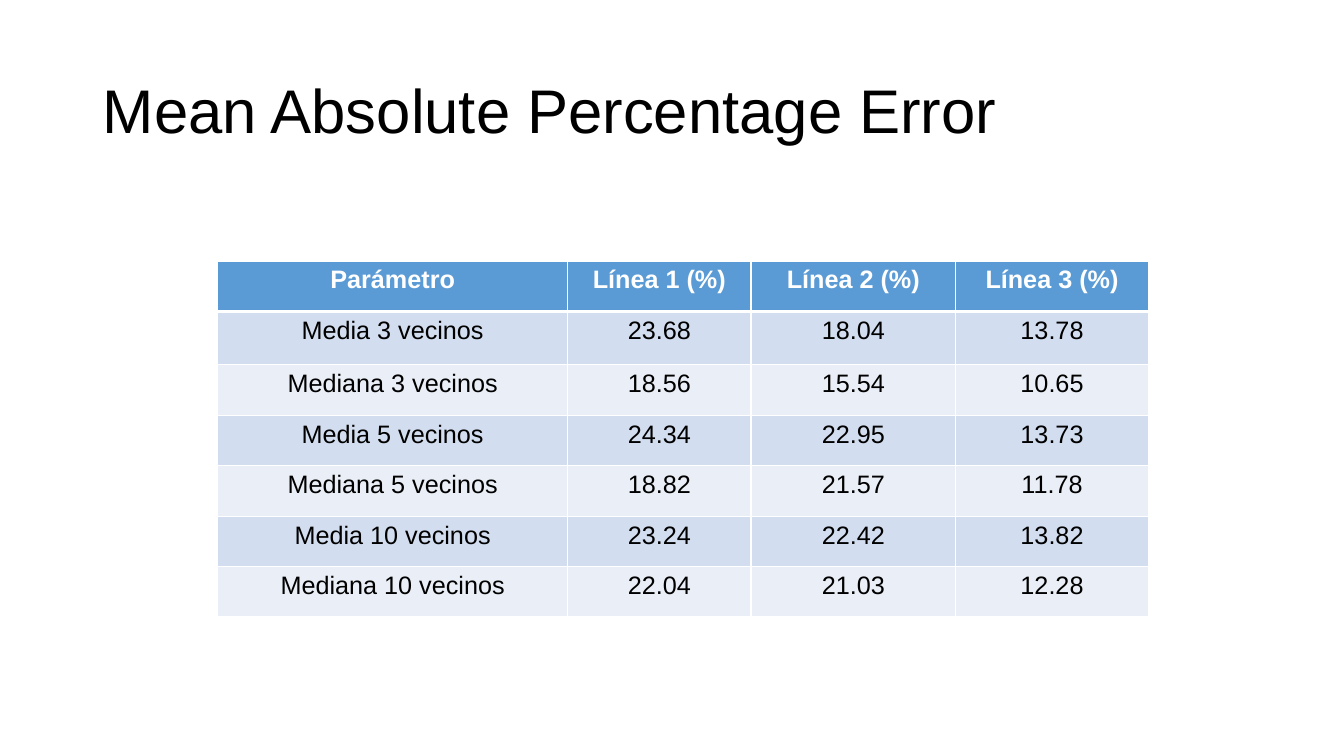
from lxml.etree import SubElement
from pptx import Presentation
from pptx.dml.color import RGBColor
from pptx.enum.text import MSO_ANCHOR, PP_ALIGN
from pptx.oxml.ns import qn
from pptx.util import Pt

PX = 9144  # 100 px to the inch
FONT = "Arial"
COLORS = {
    "text": "000000",
    "header_text": "FFFFFF",
    "header": "5B9BD5",
    "odd_row": "D2DEEF",
    "even_row": "EAEFF7",
    "border": "FFFFFF",
}
COLUMN_WIDTHS = [347, 182, 203, 191]
ROW_HEIGHTS = [50, 53, 50, 50, 50, 50, 50]
ERRORS = [
    ["Parámetro", "Línea 1 (%)", "Línea 2 (%)", "Línea 3 (%)"],
    ["Media 3 vecinos", "23.68", "18.04", "13.78"],
    ["Mediana 3 vecinos", "18.56", "15.54", "10.65"],
    ["Media 5 vecinos", "24.34", "22.95", "13.73"],
    ["Mediana 5 vecinos", "18.82", "21.57", "11.78"],
    ["Media 10 vecinos", "23.24", "22.42", "13.82"],
    ["Mediana 10 vecinos", "22.04", "21.03", "12.28"],
]


def color(name):
    return RGBColor.from_string(COLORS[name])


def set_font(para, size, color_name, bold=False):
    para.font.name = FONT
    para.font.size = Pt(size)
    para.font.bold = bold
    para.font.color.rgb = color(color_name)


def add_title(page, box, text):
    title = page.shapes.title
    title.left, title.top, title.width, title.height = [side * PX for side in box]
    frame = title.text_frame
    frame.text = text
    frame.word_wrap = True
    frame.vertical_anchor = MSO_ANCHOR.MIDDLE
    para = frame.paragraphs[0]
    para.alignment = PP_ALIGN.LEFT
    para.line_spacing = 0.9
    set_font(para, 44, "text")


def set_borders(cell, row):
    """Thin white lines, with a thick one between header and body."""
    properties = cell._tc.get_or_add_tcPr()
    widths = {"L": 1, "R": 1, "T": 3 if row == 1 else 1, "B": 3 if row == 0 else 1}
    for side, width in widths.items():
        line = SubElement(properties, qn(f"a:ln{side}"), w=str(Pt(width)))
        fill = SubElement(line, qn("a:solidFill"))
        SubElement(fill, qn("a:srgbClr"), val=COLORS["border"])


def format_cell(cell, text, row):
    set_borders(cell, row)
    band = "header" if row == 0 else "odd_row" if row % 2 else "even_row"
    cell.fill.solid()
    cell.fill.fore_color.rgb = color(band)
    cell.text = text
    para = cell.text_frame.paragraphs[0]
    para.alignment = PP_ALIGN.CENTER
    set_font(para, 18, "text" if row else "header_text", bold=row == 0)


def add_error_table(page, left, top):
    width, height = sum(COLUMN_WIDTHS), sum(ROW_HEIGHTS)
    table = page.shapes.add_table(
        len(ROW_HEIGHTS), len(COLUMN_WIDTHS),
        left * PX, top * PX, width * PX, height * PX,
    ).table
    for column, column_width in zip(table.columns, COLUMN_WIDTHS):
        column.width = column_width * PX
    for row, (values, row_height) in enumerate(zip(ERRORS, ROW_HEIGHTS)):
        table.rows[row].height = row_height * PX
        for column, text in enumerate(values):
            format_cell(table.cell(row, column), text, row)


def main():
    deck = Presentation()
    deck.slide_width, deck.slide_height = 1333 * PX, 750 * PX
    page = deck.slides.add_slide(deck.slide_layouts[5])
    add_title(page, (92, 40, 1150, 145), "Mean Absolute Percentage Error")
    add_error_table(page, 216, 259)
    deck.save("out.pptx")


if __name__ == "__main__":
    main()
